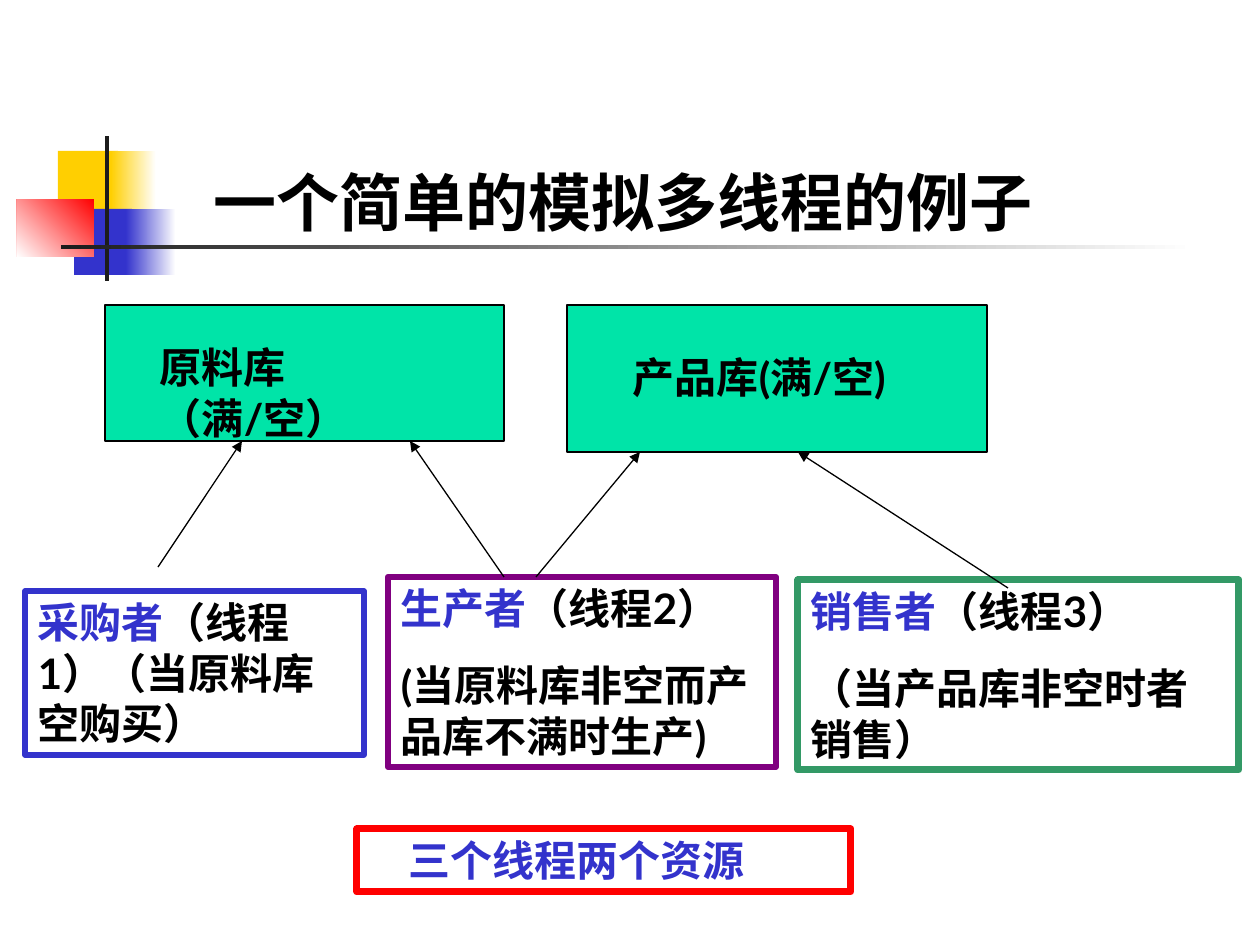
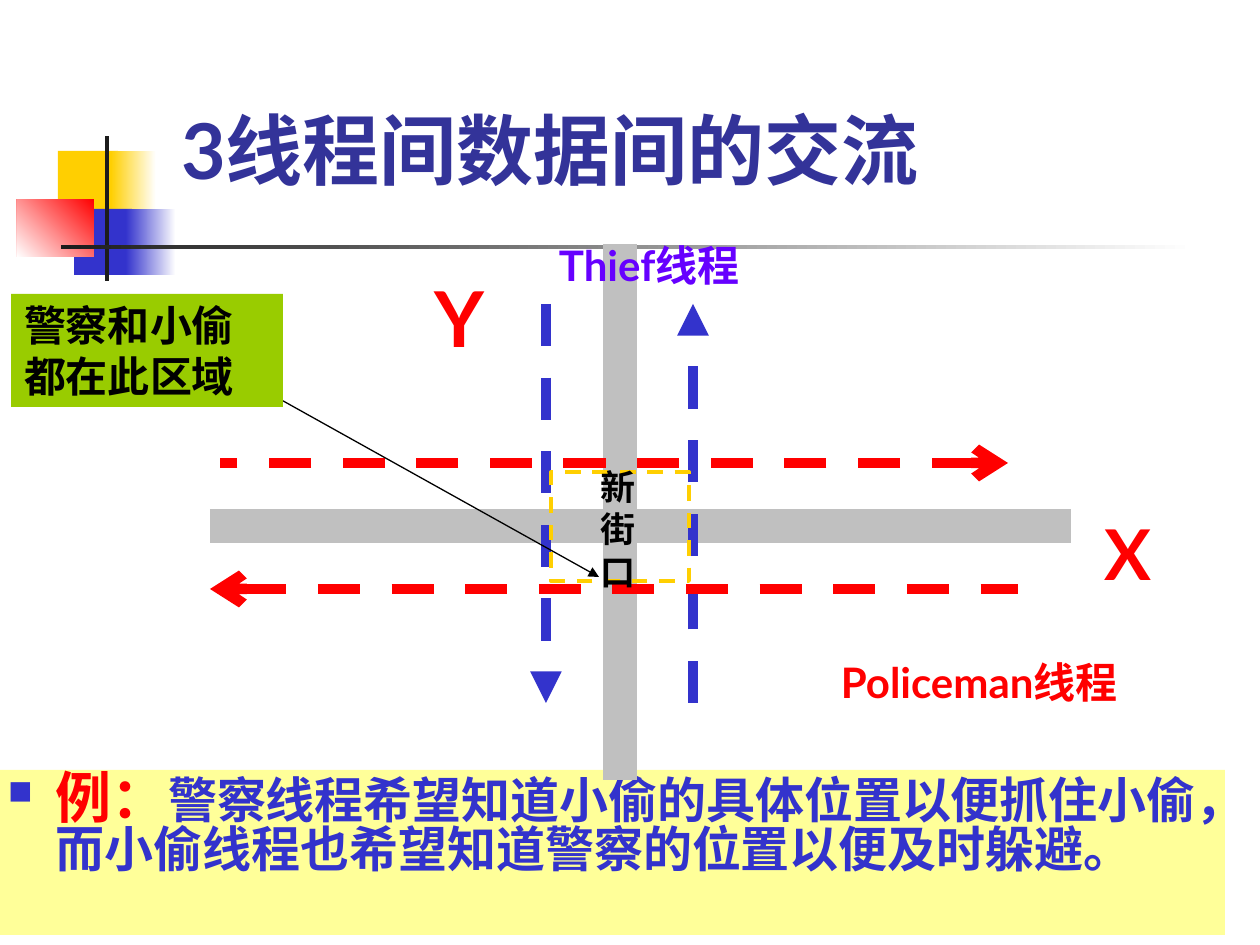
"""Build two slides on threads that share resources and exchange data."""
from dataclasses import dataclass
from typing import Any, Optional

from lxml import etree
from pptx import Presentation
from pptx.dml.color import RGBColor
from pptx.enum.dml import MSO_LINE
from pptx.enum.shapes import MSO_CONNECTOR, MSO_SHAPE
from pptx.enum.text import MSO_ANCHOR, MSO_AUTO_SIZE, PP_ALIGN
from pptx.oxml.ns import qn
from pptx.util import Emu, Pt

RECTANGLE = MSO_SHAPE.RECTANGLE
STRAIGHT = MSO_CONNECTOR.STRAIGHT
DASH = MSO_LINE.DASH
TOP, BOTTOM = MSO_ANCHOR.TOP, MSO_ANCHOR.BOTTOM
LEFT = PP_ALIGN.LEFT
FIXED = MSO_AUTO_SIZE.NONE
EMU_PER_PX = 914400 / 126
TITLE_ONLY = 5


@dataclass(frozen=True)
class Theme:
    """Colours, fonts and type sizes of the deck."""

    latin: str = "Lato"
    east_asian: str = "Noto Sans CJK SC"
    black: str = "000000"
    white: str = "FFFFFF"
    ink: str = "1C1C1C"
    blue: str = "3333CC"
    title_blue: str = "333399"
    yellow: str = "FFCF01"
    red: str = "FF0000"
    store: str = "00E4A8"
    purple: str = "800080"
    green: str = "339966"
    lime: str = "99CC00"
    cream: str = "FFFF99"
    road: str = "C0C0C0"
    violet: str = "6600FF"
    small: int = 20
    body: int = 24
    example: int = 28
    lead: int = 32
    heading: int = 36
    axis: int = 40
    display: int = 44
    thin: float = 0.75
    route: float = 6
    road_width: float = 19.25


THEME = Theme()
Box = tuple[int, int, int, int]
Point = tuple[int, int]


@dataclass(frozen=True)
class Words:
    """A stretch of text in one colour and size."""

    text: str
    color: str = THEME.black
    size: int = THEME.body


Paragraphs = tuple[tuple[Words, ...], ...]


@dataclass(frozen=True)
class Block:
    """A rectangle or a bare label, with its text."""

    box: Box
    paragraphs: Paragraphs = ()
    fill: Optional[str] = None
    border: Optional[str] = None
    weight: float = THEME.thin
    dash: Any = None
    inset: int = 13
    bulleted: bool = False


@dataclass(frozen=True)
class Route:
    """A straight line with optional arrowheads."""

    start: Point
    end: Point
    color: str = THEME.black
    weight: float = THEME.thin
    dash: Any = None
    head: Optional[str] = None
    tail: Optional[str] = None


@dataclass(frozen=True)
class Ornament:
    """A plain or fading rectangle of the title decoration."""

    box: Box
    color: str
    fade_angle: Optional[int] = None


ORNAMENTS = (
    Ornament((58, 151, 60, 66), THEME.yellow),
    Ornament((111, 151, 45, 66), THEME.yellow, 0),
    Ornament((74, 209, 58, 66), THEME.blue),
    Ornament((126, 209, 50, 66), THEME.blue, 0),
    Ornament((17, 199, 77, 58), THEME.red, 225),
    Ornament((105, 136, 4, 145), THEME.ink),
    Ornament((61, 245, 1134, 4), THEME.ink, 0),
)

RESOURCES = (
    Block((105, 305, 399, 136), fill=THEME.store, border=THEME.black),
    Block((567, 305, 420, 147), fill=THEME.store, border=THEME.black),
    Block((147, 336, 300, 63), ((Words("原料库（满/空）"),),)),
    Block((620, 346, 357, 63), ((Words("产品库(满/空)"),),)),
)

THREADS = (
    Block((388, 577, 388, 190),
          ((Words("生产者", THEME.blue), Words("（线程2）")),
           (Words("(当原料库非空而产品库不满时生产)"),)),
          border=THEME.purple, weight=3.5),
    Block((25, 591, 339, 164),
          ((Words("采购者", THEME.blue), Words("（线程1）（当原料库空购买）")),),
          border=THEME.blue, weight=3),
    Block((798, 580, 441, 190),
          ((Words("销售者", THEME.blue), Words("（线程3）")),
           (Words("（当产品库非空时者销售）"),)),
          border=THEME.green, weight=4),
)

SUMMARY = Block((357, 829, 494, 63), ((Words("三个线程两个资源", THEME.blue),),),
                fill=THEME.white, border=THEME.red, weight=4, inset=52)

ACCESSES = tuple(
    Route(thread, store, tail="triangle")
    for thread, store in (
        ((158, 567), (242, 441)),
        ((504, 577), (410, 441)),
        ((536, 577), (640, 452)),
        ((1008, 588), (798, 452)),
    )
)

EXAMPLE = Block(
    (0, 770, 1225, 165),
    ((Words("例：", THEME.red, THEME.lead),
      Words("警察线程希望知道小偷的具体位置以便抓住小偷，"
            "而小偷线程也希望知道警察的位置以便及时躲避。",
            THEME.blue, THEME.example)),),
    fill=THEME.cream, inset=8, bulleted=True)

THIEF = {"color": THEME.blue, "weight": THEME.route, "dash": DASH, "tail": "triangle"}
POLICE = {"color": THEME.red, "weight": THEME.route, "dash": DASH, "head": "arrow"}
ROAD = {"color": THEME.road, "weight": THEME.road_width}

STREETS = (
    Route((620, 780), (620, 244), **ROAD),
    Route((210, 526), (1071, 526), **ROAD),
    Route((546, 304), (546, 703), **THIEF),
    Route((693, 703), (693, 304), **THIEF),
    Route((210, 589), (1018, 589), **POLICE),
    Route((1008, 463), (220, 463), **POLICE),
)

STREET_LABELS = (
    Block((828, 651, 389, 63), ((Words("Policeman线程", THEME.red),),)),
    Block((546, 234, 252, 63), ((Words("Thief线程", THEME.violet),),)),
    Block((1092, 505, 116, 97), ((Words("X", THEME.red, THEME.axis),),)),
    Block((422, 265, 116, 106), ((Words("Y", THEME.red, THEME.display),),)),
    Block((551, 472, 138, 109), border=THEME.yellow, weight=2.25, dash=DASH),
)

POINTER = Route((242, 378), (599, 577), tail="triangle")

ZONE_LABELS = (
    Block((11, 294, 272, 113), ((Words("警察和小偷都在此区域"),),), fill=THEME.lime),
    Block((588, 460, 53, 139), ((Words("新街口", size=THEME.small),),)),
)


def px(length: int) -> Emu:
    """Turn pixels into EMU."""
    return Emu(round(length * EMU_PER_PX))


def rgb(color: str) -> RGBColor:
    """Turn a hex string into a colour."""
    return RGBColor.from_string(color)


def assign(target: Any, values: dict[str, Any]) -> None:
    """Set every attribute named in the dict."""
    for name, value in values.items():
        setattr(target, name, value)


def add_bullet(paragraph: Any) -> None:
    """Give a paragraph a small square bullet and a hanging indent."""
    properties = paragraph._p.get_or_add_pPr()
    properties.set("marL", str(px(48)))
    properties.set("indent", str(-px(48)))
    color = etree.SubElement(properties, qn("a:buClr"))
    etree.SubElement(color, qn("a:srgbClr"), val=THEME.blue)
    etree.SubElement(properties, qn("a:buSzPct"), val="60000")
    etree.SubElement(properties, qn("a:buChar"), char="■")
    paragraph.line_spacing = 0.8


def write(frame: Any, paragraphs: Paragraphs, anchor: Any = TOP,
          inset: int = 13, bulleted: bool = False) -> None:
    """Fill a text frame with formatted paragraphs."""
    assign(frame, {
        "word_wrap": True, "auto_size": FIXED, "vertical_anchor": anchor,
        "margin_left": px(inset), "margin_right": px(13),
        "margin_top": px(6), "margin_bottom": px(6),
    })
    for index, line in enumerate(paragraphs):
        paragraph = frame.add_paragraph() if index else frame.paragraphs[0]
        if bulleted:
            add_bullet(paragraph)
        assign(paragraph, {"alignment": LEFT, "space_before": Pt(15 if index else 0)})
        for words in line:
            run = paragraph.add_run()
            run.text = words.text
            assign(run.font, {"name": THEME.latin, "size": Pt(words.size), "bold": True})
            run.font.color.rgb = rgb(words.color)
            latin = run.font._element.find(qn("a:latin"))
            latin.addnext(latin.makeelement(qn("a:ea"), {"typeface": THEME.east_asian}))


def stroke(line: Any, color: str, weight: float, dash: Any) -> None:
    """Format an outline or a connector line."""
    line.color.rgb = rgb(color)
    assign(line, {"width": Pt(weight), "dash_style": dash})


def draw_block(slide: Any, block: Block) -> None:
    """Draw a rectangle or a label."""
    place = [px(length) for length in block.box]
    if block.fill or block.border:
        shape = slide.shapes.add_shape(RECTANGLE, *place)
        shape.shadow.inherit = False
    else:
        shape = slide.shapes.add_textbox(*place)
    if block.fill:
        shape.fill.solid()
        shape.fill.fore_color.rgb = rgb(block.fill)
    else:
        shape.fill.background()
    if block.border:
        stroke(shape.line, block.border, block.weight, block.dash)
    else:
        shape.line.fill.background()
    if block.paragraphs:
        write(shape.text_frame, block.paragraphs, inset=block.inset, bulleted=block.bulleted)


def draw_route(slide: Any, route: Route) -> None:
    """Draw a line with its arrowheads."""
    ends = [px(length) for length in route.start + route.end]
    connector = slide.shapes.add_connector(STRAIGHT, *ends)
    stroke(connector.line, route.color, route.weight, route.dash)
    properties = connector._element.spPr
    outline = properties.find(qn("a:ln"))
    for tag, kind in (("a:headEnd", route.head), ("a:tailEnd", route.tail)):
        if kind:
            etree.SubElement(outline, qn(tag), type=kind)
    etree.SubElement(properties, qn("a:effectLst"))


def draw_ornament(slide: Any, ornament: Ornament) -> None:
    """Draw one piece of the title decoration."""
    shape = slide.shapes.add_shape(RECTANGLE, *[px(length) for length in ornament.box])
    shape.shadow.inherit = False
    shape.line.fill.background()
    if ornament.fade_angle is None:
        shape.fill.solid()
        shape.fill.fore_color.rgb = rgb(ornament.color)
        return
    shape.fill.gradient()
    shape.fill.gradient_angle = ornament.fade_angle
    for stop, color in zip(shape.fill.gradient_stops, (ornament.color, THEME.white)):
        stop.color.rgb = rgb(color)


def add_slide(deck: Any, heading: Words, box: Box, anchor: Any, parts: tuple) -> None:
    """Add a decorated slide with a title and its parts."""
    slide = deck.slides.add_slide(deck.slide_layouts[TITLE_ONLY])
    title = slide.shapes.title
    assign(title, dict(zip(("left", "top", "width", "height"), map(px, box))))
    write(title.text_frame, ((heading,),), anchor)
    for ornament in ORNAMENTS:
        draw_ornament(slide, ornament)
    for part in parts:
        draw = draw_route if isinstance(part, Route) else draw_block
        draw(slide, part)


def main() -> None:
    """Build and save the deck."""
    deck = Presentation()
    assign(deck, {"slide_width": px(1260), "slide_height": px(945)})
    add_slide(deck, Words("一个简单的模拟多线程的例子", size=THEME.heading),
              (200, 158, 924, 88), TOP, RESOURCES + THREADS + ACCESSES + (SUMMARY,))
    add_slide(deck, Words("3线程间数据间的交流", THEME.title_blue, THEME.display),
              (168, 84, 881, 117), BOTTOM,
              (EXAMPLE,) + STREETS + STREET_LABELS + (POINTER,) + ZONE_LABELS)
    deck.save("out.pptx")


if __name__ == "__main__":
    main()
